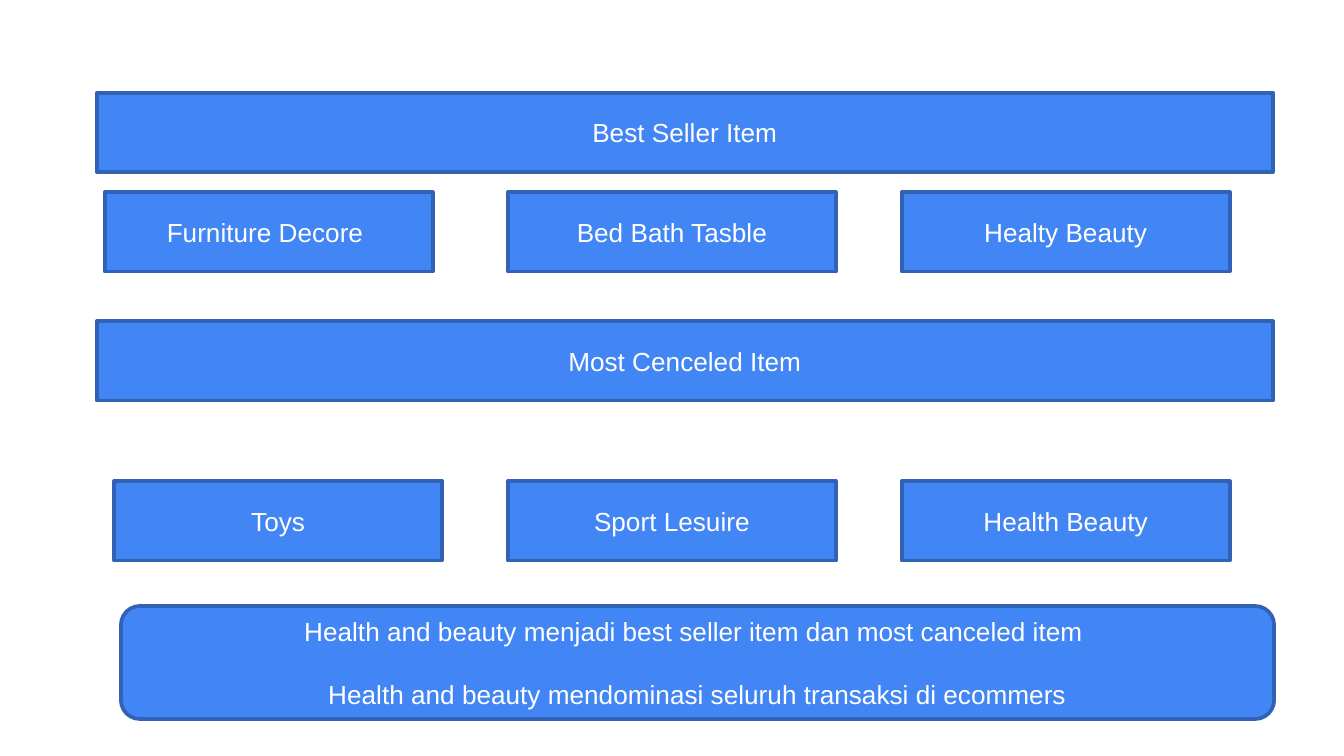
from pptx import Presentation
from pptx.dml.color import RGBColor
from pptx.enum.shapes import MSO_SHAPE
from pptx.enum.text import MSO_ANCHOR, PP_ALIGN
from pptx.util import Inches, Pt

BLUE = RGBColor(0x42, 0x85, 0xF4)
NAVY = RGBColor(0x31, 0x62, 0xB5)
WHITE = RGBColor(0xFF, 0xFF, 0xFF)


class Deck:
    """Holds the style and the current slide."""
    font, size, edge = "Arial", Pt(14), Pt(2)

    def __init__(self, wide, high):
        self.show = Presentation()
        self.show.slide_width = Inches(wide)
        self.show.slide_height = Inches(high)
        self.slide = self.show.slides.add_slide(self.show.slide_layouts[6])

    def box(self, lines, left, top, width, height,
            kind=MSO_SHAPE.RECTANGLE, gap=0):
        shape = self.slide.shapes.add_shape(
            kind, Inches(left), Inches(top), Inches(width), Inches(height))
        shape.shadow.inherit = False
        shape.fill.solid()
        shape.fill.fore_color.rgb = BLUE
        shape.line.color.rgb = NAVY
        shape.line.width = self.edge
        frame = shape.text_frame
        frame.word_wrap = True
        frame.vertical_anchor = MSO_ANCHOR.MIDDLE
        for i, line in enumerate(lines):
            para = frame.add_paragraph() if i else frame.paragraphs[0]
            para.alignment = PP_ALIGN.CENTER
            if i:
                para.space_before = Pt(gap)
            self.run(para, line)

    def run(self, para, text):
        run = para.add_run()
        run.text = text
        run.font.name = self.font
        run.font.size = self.size
        run.font.color.rgb = WHITE

    def bar(self, text, top):
        self.box([text], 0.72, top, 8.75, 0.59)

    def row(self, names, first, top):
        for name, left in zip(names, (first, 3.78, 6.71)):
            self.box([name], left, top, 2.44, 0.59)

    def note(self, lines):
        self.box(lines, 0.9, 4.51, 8.58, 0.84,
                 MSO_SHAPE.ROUNDED_RECTANGLE, gap=17.3)


def main():
    # Widescreen, 16:9
    deck = Deck(10, 10 * 9 / 16)

    # Best sellers
    deck.bar("Best Seller Item", 0.69)
    deck.row(("Furniture Decore ", "Bed Bath Tasble", "Healty Beauty"),
             0.78, 1.43)

    # Most cancelled
    deck.bar("Most Cenceled Item", 2.39)
    deck.row(("Toys", "Sport Lesuire", "Health Beauty"), 0.85, 3.58)

    # Findings
    deck.note((
        "Health and beauty menjadi best seller item dan most canceled item ",
        "Health and beauty mendominasi seluruh transaksi di ecommers"))

    deck.show.save("out.pptx")


if __name__ == "__main__":
    main()
